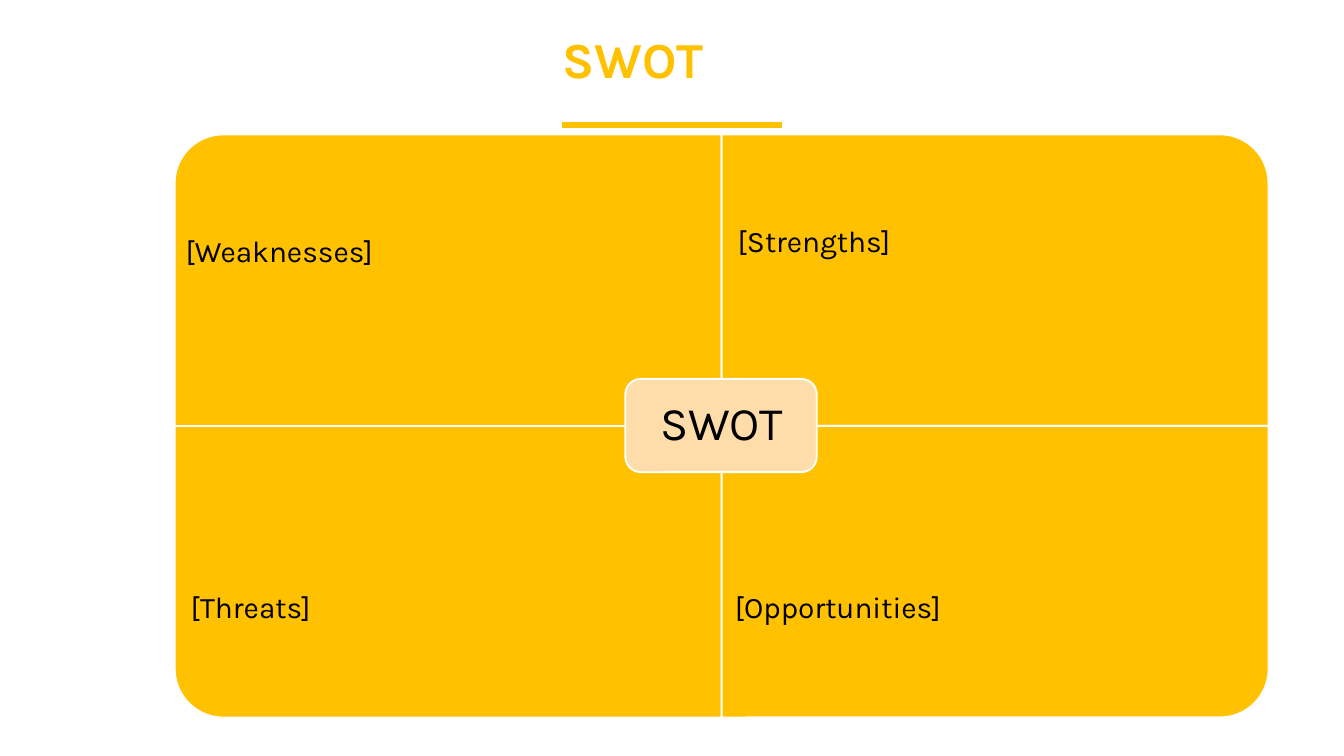
"""Build a SWOT slide with four quadrants around a central label."""
from dataclasses import dataclass

from lxml.etree import SubElement
from pptx import Presentation
from pptx.dml.color import RGBColor
from pptx.enum.shapes import MSO_CONNECTOR, MSO_SHAPE
from pptx.enum.text import MSO_ANCHOR, PP_ALIGN
from pptx.oxml.ns import qn
from pptx.util import Pt


@dataclass(frozen=True)
class Theme:
    font: str = "Karla"
    amber: RGBColor = RGBColor(0xFF, 0xC1, 0x00)
    peach: RGBColor = RGBColor(0xFF, 0xDD, 0xAB)
    white: RGBColor = RGBColor(0xFF, 0xFF, 0xFF)
    black: RGBColor = RGBColor(0x00, 0x00, 0x00)
    title_size: int = 27
    center_size: int = 25
    quadrant_size: int = 16


theme = Theme()
deck = Presentation()
deck.slide_width, deck.slide_height = Pt(720), Pt(405)
slide = deck.slides.add_slide(deck.slide_layouts[6])


def add_panel(preset, left, top, width, height, fill):
    panel = slide.shapes.add_shape(preset, Pt(left), Pt(top), Pt(width), Pt(height))
    panel.shadow.inherit = False
    panel.fill.solid()
    panel.fill.fore_color.rgb = fill
    panel.line.color.rgb = theme.white
    panel.line.width = Pt(1)
    return panel


def add_label(text, box, size, color, inset, align=PP_ALIGN.LEFT, bold=False):
    label = slide.shapes.add_textbox(*map(Pt, box))
    frame = label.text_frame
    frame.word_wrap = True
    frame.vertical_anchor = MSO_ANCHOR.MIDDLE
    frame.margin_left = frame.margin_right = Pt(inset)
    frame.margin_top = frame.margin_bottom = Pt(0)
    paragraph = frame.paragraphs[0]
    paragraph.alignment = align
    paragraph.line_spacing = 0.9
    run = paragraph.add_run()
    run.text = text
    run.font.name = theme.font
    run.font.size = Pt(size)
    run.font.bold = bold
    run.font.color.rgb = color


underline = slide.shapes.add_connector(
    MSO_CONNECTOR.STRAIGHT, Pt(301), Pt(67), Pt(419), Pt(67))
underline.line.color.rgb = theme.amber
underline.line.width = Pt(3)
SubElement(underline._element.spPr, qn("a:effectLst"))
add_label("SWOT", (139, 15, 400, 37), theme.title_size, theme.amber, 7.2,
          PP_ALIGN.CENTER, True)

grid_left, grid_top = 93.6, 72
quadrant_width, quadrant_height = 293, 156.2
label_height = 116.6
quadrants = [
    ("[Weaknesses]", 0, 0, 270, 5.8, 5.4),
    ("[Strengths]", 1, 0, 0, 8.6, 0),
    ("[Threats]", 0, 1, 180, 8.6, 0),
    ("[Opportunities]", 1, 1, 90, 7.2, 0),
]
for name, column, row, rotation, inset, drop in quadrants:
    left = grid_left + column * quadrant_width
    top = grid_top + row * quadrant_height
    width, height = quadrant_width, quadrant_height
    if rotation % 180:
        width, height = height, width
    quadrant = add_panel(
        MSO_SHAPE.ROUND_1_RECTANGLE,
        left + (quadrant_width - width) / 2, top + (quadrant_height - height) / 2,
        width, height, theme.amber)
    quadrant.rotation = rotation
    label_top = top + row * (quadrant_height - label_height) + drop
    add_label(name, (left, label_top, quadrant_width, label_height),
              theme.quadrant_size, theme.black, inset)

add_panel(MSO_SHAPE.ROUNDED_RECTANGLE, 335, 203, 102.6, 50, theme.peach)
add_label("SWOT", (337.6, 205.4, 98, 45.2), theme.center_size, theme.black, 7.2,
          PP_ALIGN.CENTER)

deck.save("out.pptx")
